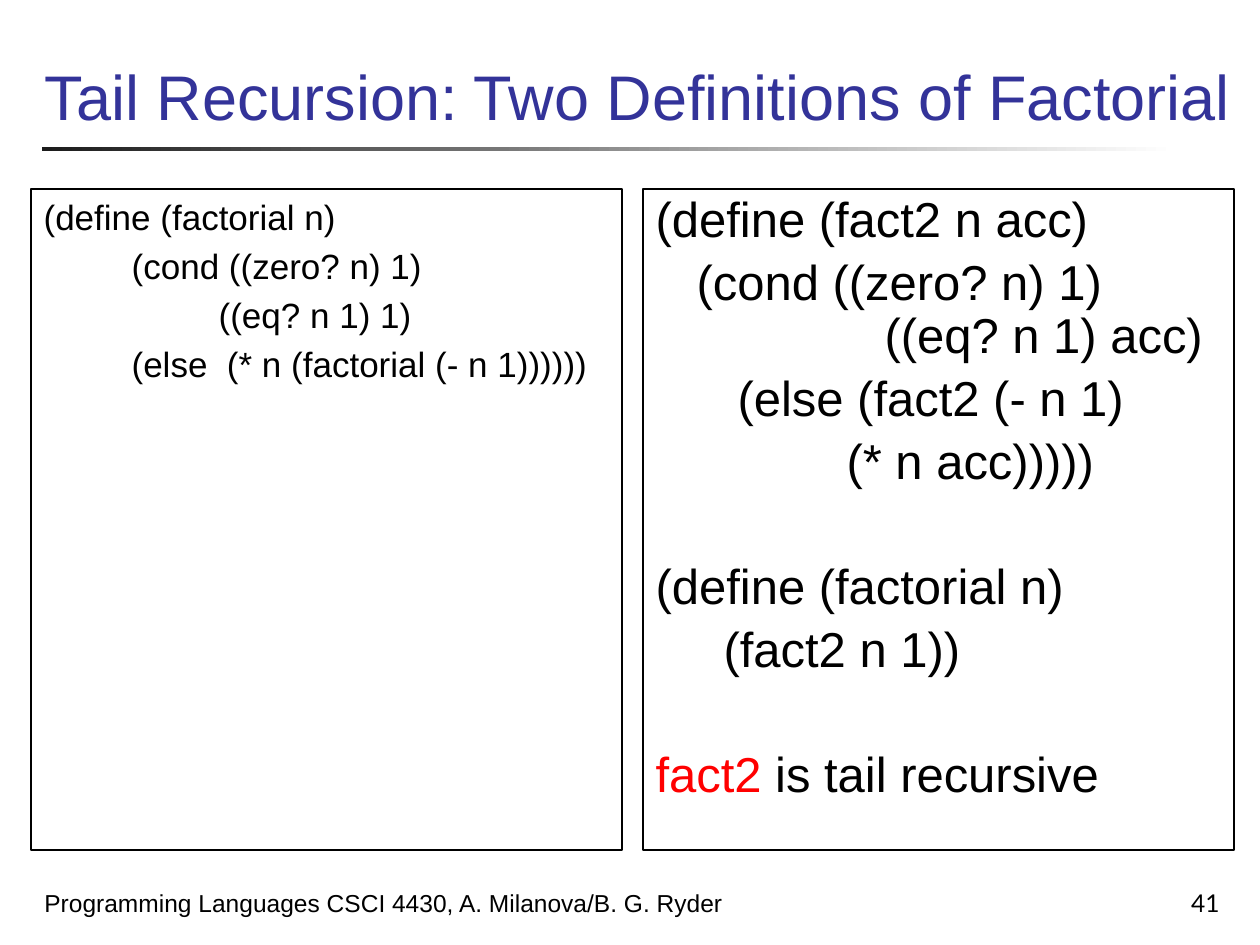
import pptx
import pptx.dml.color
import pptx.enum.shapes
import pptx.enum.text
import pptx.oxml
import pptx.oxml.ns
import pptx.util

EMU_PER_PX = 914400 / 126
ANCHOR = pptx.enum.text.MSO_ANCHOR
ALIGN = pptx.enum.text.PP_ALIGN

# Each line: text, indent in px, then optionally space before and wrapped-line indent.
FACTORIAL = [
    ("(define (factorial n)", 0),
    ("(cond ((zero? n) 1)", 88),
    ("((eq? n 1) 1)", 175),
    ("(else  (* n (factorial (- n 1))))))", 88),
]
FACT2 = [
    ("(define (fact2 n acc)", 0),
    ("(cond ((zero? n) 1)\v((eq? n 1) acc)", 41, 10, 229),
    ("(else (fact2 (- n 1)", 82),
    ("(* n acc)))))", 191),
    ("(define (factorial n)", 0, 72),
    ("(fact2 n 1))", 68),
]


def px(length):
    return pptx.util.Emu(round(length * EMU_PER_PX))


def color(value):
    return pptx.dml.color.RGBColor.from_string(value)


def place(shape, left, top, width, height):
    shape.left, shape.top = px(left), px(top)
    shape.width, shape.height = px(width), px(height)


def write(para, text, size=14, font="Arial", fill="000000"):
    """Add text to a paragraph; a vertical tab breaks the line."""
    for number, piece in enumerate(text.split("\v")):
        if number:
            para.add_line_break()
        span = para.add_run()
        span.text = piece
        span.font.size = pptx.util.Pt(size)
        span.font.name = font
        span.font.color.rgb = color(fill)


def prepare_frame(shape, anchor):
    frame = shape.text_frame
    frame.word_wrap = True
    frame.auto_size = pptx.enum.text.MSO_AUTO_SIZE.NONE
    frame.vertical_anchor = anchor
    return frame


def add_label(slide, text, bounds, align=ALIGN.LEFT, **style):
    box = slide.shapes.add_textbox(0, 0, 0, 0)
    place(box, *bounds)
    para = prepare_frame(box, ANCHOR.BOTTOM).paragraphs[0]
    para.alignment = align
    write(para, text, **style)


def add_rule(slide):
    rule = slide.shapes.add_shape(pptx.enum.shapes.MSO_SHAPE.RECTANGLE, 0, 0, 0, 0)
    place(rule, 42, 147, 1134, 4)
    rule.shadow.inherit = False
    rule.line.fill.background()
    rule.fill.gradient()
    rule.fill.gradient_angle = 0
    for stop, shade in zip(rule.fill.gradient_stops, ("1C1C1C", "FFFFFF")):
        stop.color.rgb = color(shade)


def fill_title(title, text):
    place(title, 32, 0, 1228, 139)
    para = prepare_frame(title, ANCHOR.BOTTOM).paragraphs[0]
    para.alignment = ALIGN.LEFT
    write(para, text, size=36, fill="333399")


def format_code_line(para, indent, before, wrapped, spacing):
    para.space_before = px(before)
    para.line_spacing = spacing
    properties = para._p.get_or_add_pPr()
    properties.set("marL", str(px(wrapped)))
    properties.set("indent", str(px(indent - wrapped)))
    properties.append(pptx.oxml.parse_xml(
        f"<a:buNone {pptx.oxml.ns.nsdecls('a')}/>"))


def fill_code_panel(panel, left, lines, size, gap, spacing=1.0):
    """Write the code lines in a framed panel and return its last paragraph."""
    place(panel, left, 189, 591, 661)
    panel.line.color.rgb = color("000000")
    panel.line.width = pptx.util.Pt(0.75)
    frame = prepare_frame(panel, ANCHOR.TOP)
    for number, (text, indent, *rest) in enumerate(lines):
        para = frame.add_paragraph() if number else frame.paragraphs[0]
        before = rest[0] if rest else gap
        wrapped = rest[1] if len(rest) > 1 else indent
        format_code_line(para, indent, before, wrapped, spacing)
        write(para, text, size=size)
    return frame


def main():
    deck = pptx.Presentation()
    deck.slide_width, deck.slide_height = px(1260), px(945)
    slide = deck.slides.add_slide(deck.slide_layouts.get_by_name("Two Content"))
    title, left_panel, right_panel = slide.placeholders

    add_rule(slide)
    fill_title(title, "Tail Recursion: Two Definitions of Factorial")
    fill_code_panel(left_panel, 31, FACTORIAL, size=20, gap=7)
    frame = fill_code_panel(right_panel, 643, FACT2, size=28, gap=10, spacing=0.9)

    remark = frame.add_paragraph()
    format_code_line(remark, 0, 72, 0, 0.9)
    write(remark, "fact2 ", size=28, fill="FF0000")
    write(remark, "is tail recursive", size=28)

    add_label(slide, "Programming Languages CSCI 4430, A. Milanova/B. G. Ryder",
              (32, 861, 714, 63))
    add_label(slide, "41", (970, 861, 262, 63), align=ALIGN.RIGHT, font="Lato")
    deck.save("out.pptx")


if __name__ == "__main__":
    main()
